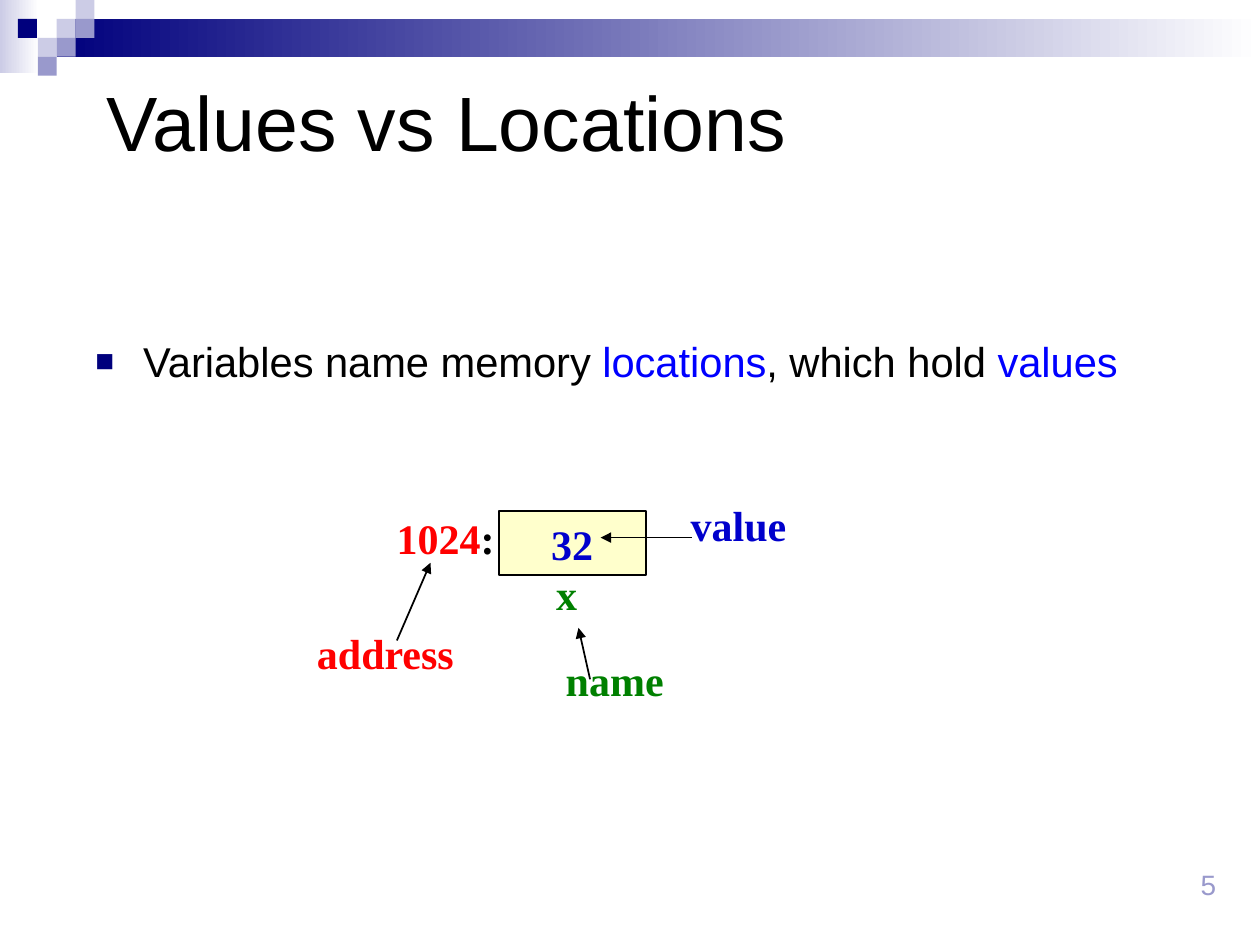
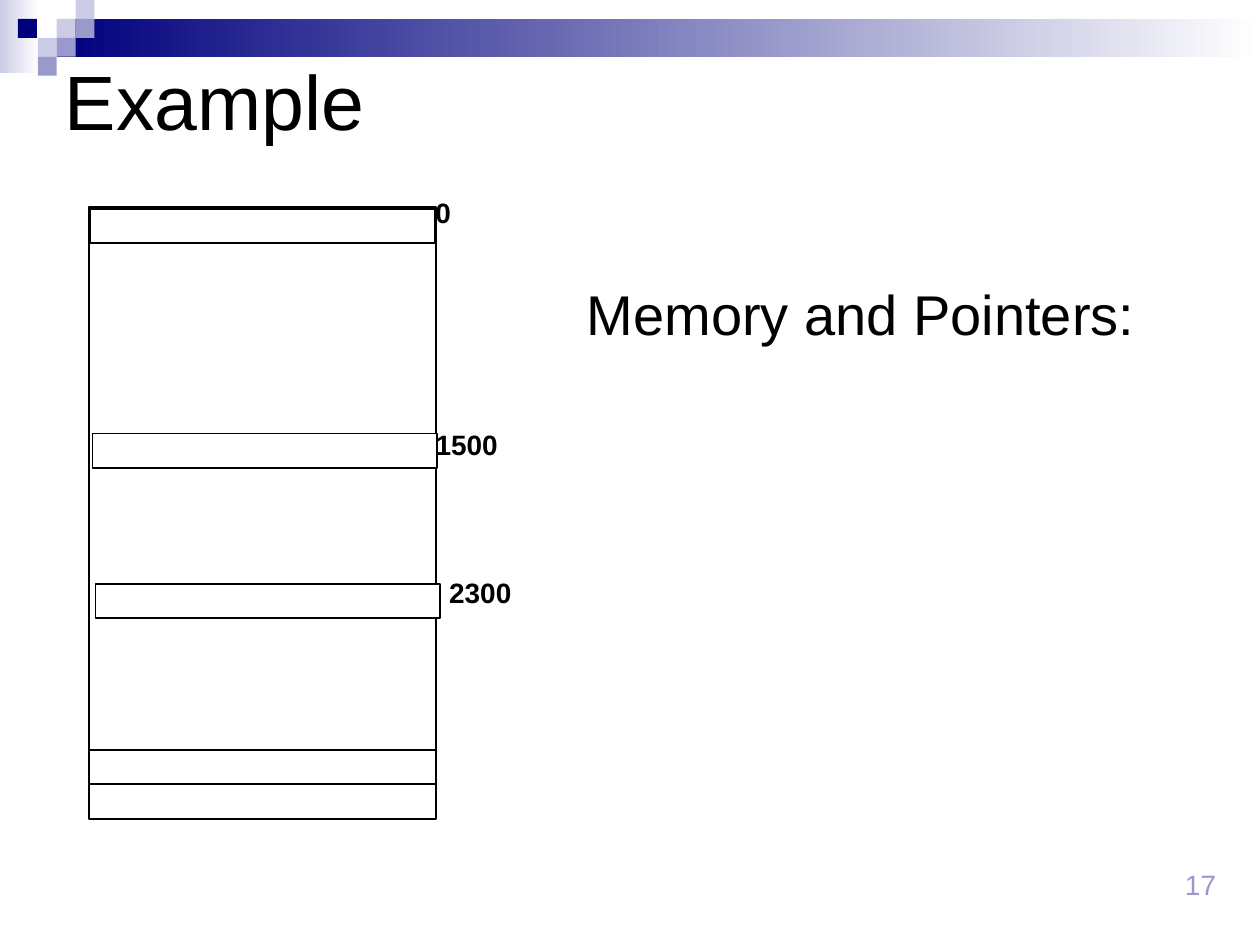
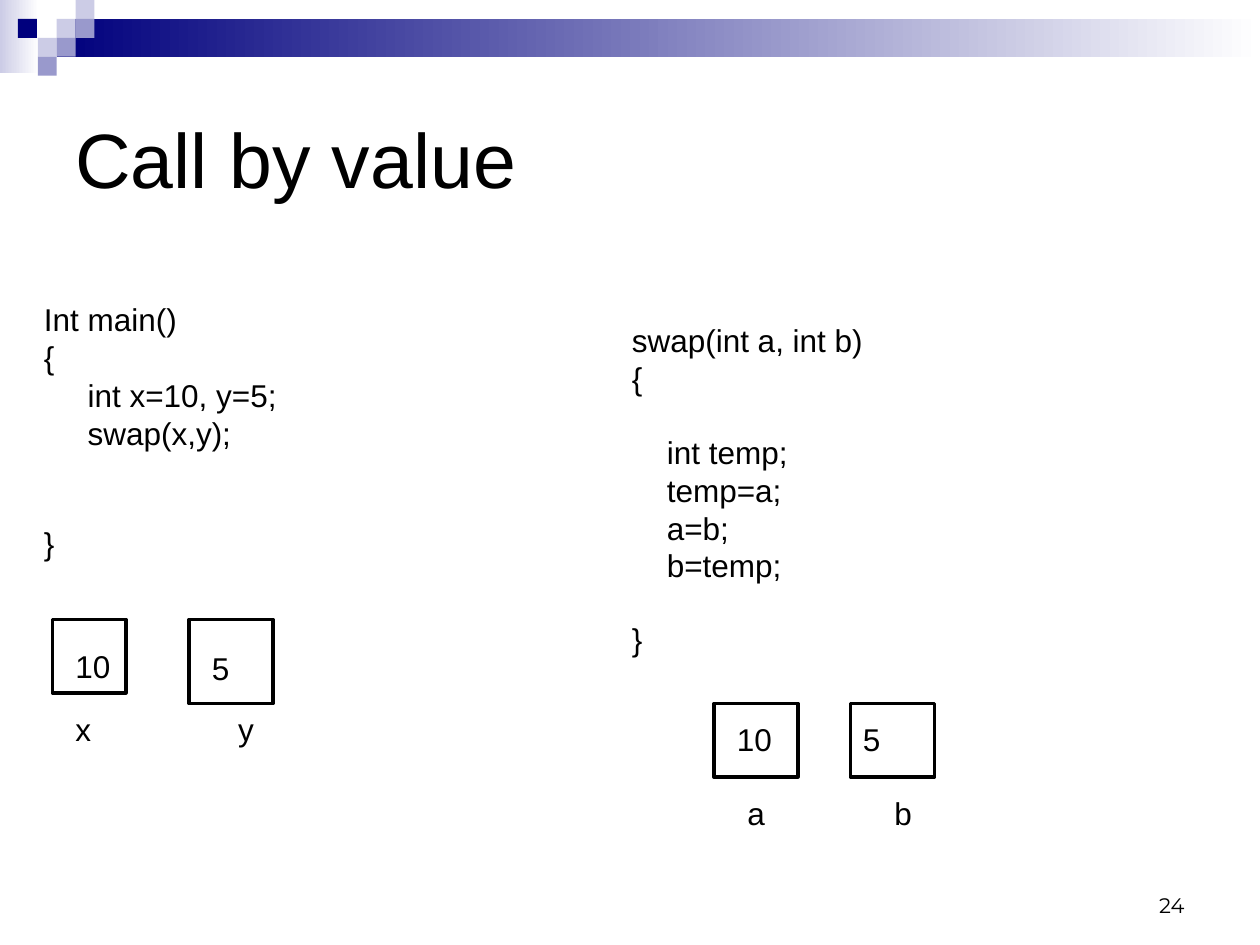
from lxml import etree
from pptx import Presentation
from pptx.dml.color import RGBColor
from pptx.enum.shapes import MSO_CONNECTOR, MSO_SHAPE
from pptx.enum.text import MSO_ANCHOR as Anchor, MSO_AUTO_SIZE as AutoSize, PP_ALIGN as Align
from pptx.oxml.ns import qn
from pptx.util import Inches, Pt

COLORS = {
    "black": "000000", "white": "FFFFFF", "navy": "00007D", "lavender": "CCCCE6",
    "violet": "9999CC", "blue": "0000FF", "cream": "FFFFCC", "value": "0000CC",
    "address": "FF0000", "name": "008000",
}
SANS, SERIF = "Arial", "Times New Roman"
WIDTH, HEIGHT = Inches(10), Inches(7.5)
COLUMNS, ROWS = 120, 90
TILE = 1.8
CODE_LINE = 20.7  # height in points of one 18 pt line


def across(columns):
    return int(WIDTH * columns / COLUMNS)


def down(rows):
    return int(HEIGHT * rows / ROWS)


def place(area):
    """Turn (column, row, columns, rows) into slide lengths."""
    left, top, width, height = area
    return across(left), down(top), across(width), down(height)


def color(name):
    return RGBColor.from_string(COLORS[name])


def add_rect(page, area, fill="white", line=None):
    rect = page.shapes.add_shape(MSO_SHAPE.RECTANGLE, *place(area))
    rect.shadow.inherit = False
    rect.fill.solid()
    rect.fill.fore_color.rgb = color(fill)
    if line:
        rect.line.color.rgb = color("black")
        rect.line.width = Pt(line)
    else:
        rect.line.fill.background()
    return rect


def add_fade(page, area, start):
    """Add a band that fades from the start colour to white."""
    band = add_rect(page, area)
    band.fill.gradient()
    band.fill.gradient_angle = 0
    for stop, name, position in zip(band.fill.gradient_stops, (start, "white"), (0, 1)):
        stop.color.rgb = color(name)
        stop.position = position


def write(para, spans, size, font=SANS, bold=False):
    """Add one run for each (text, colour) pair."""
    for text, name in spans:
        span = para.add_run()
        span.text = text
        span.font.name = font
        span.font.size = Pt(size)
        span.font.bold = bold
        span.font.color.rgb = color(name)


def add_text(page, area, spans, size, font=SANS, bold=False, align=Align.LEFT,
             anchor=Anchor.TOP, wrap=True):
    frame = page.shapes.add_textbox(*place(area)).text_frame
    frame.word_wrap = wrap
    frame.auto_size = AutoSize.NONE if wrap else AutoSize.SHAPE_TO_FIT_TEXT
    frame.vertical_anchor = anchor
    para = frame.paragraphs[0]
    para.alignment = align
    write(para, spans, size, font, bold)
    return para


def add_title(page, area, text):
    add_text(page, area, [(text, "black")], 44, anchor=Anchor.MIDDLE)


def add_number(page, number):
    add_text(page, (110, 82, 7, 6), [(number, "violet")], 16, align=Align.RIGHT)


def add_bullet(para, indent):
    props = para._p.get_or_add_pPr()
    props.set("marL", str(Inches(indent)))
    props.set("indent", str(-Inches(indent)))
    tint = etree.SubElement(props, qn("a:buClr"))
    etree.SubElement(tint, qn("a:srgbClr"), val=COLORS["navy"])
    etree.SubElement(props, qn("a:buSzPct"), val="75000")
    etree.SubElement(props, qn("a:buFont"), typeface=SANS)
    etree.SubElement(props, qn("a:buChar"), char="■")


def add_arrow(page, start, end):
    arrow = page.shapes.add_connector(
        MSO_CONNECTOR.STRAIGHT, across(start[0]), down(start[1]), across(end[0]), down(end[1]))
    arrow.line.color.rgb = color("black")
    arrow.line.width = Pt(1)
    etree.SubElement(arrow.line._get_or_add_ln(), qn("a:tailEnd"), type="triangle")
    etree.SubElement(arrow._element.spPr, qn("a:effectLst"))


def add_code(page, area, lines):
    """Add code from (text, empty lines above) pairs."""
    frame = page.shapes.add_textbox(*place(area)).text_frame
    frame.word_wrap = True
    for index, (text, gap) in enumerate(lines):
        para = frame.add_paragraph() if index else frame.paragraphs[0]
        if gap:
            para.space_before = Pt(gap * CODE_LINE)
        write(para, [(text, "black")], 18)


def add_page(deck):
    page = deck.slides.add_slide(deck.slide_layouts[6])
    add_fade(page, (0, 0, 3.7, 7), "lavender")
    add_fade(page, (3 * TILE, TILE, COLUMNS - 3 * TILE, 2 * TILE), "navy")
    tiles = [(3, 1, "lavender"), (4, 0, "lavender"), (4, 1, "violet"), (2, 2, "lavender"),
             (0.95, 1, "navy"), (3, 2, "violet"), (2, 3, "violet")]
    for column, row, fill in tiles:
        add_rect(page, (column * TILE, row * TILE, TILE, TILE), fill)
    return page


def build_locations(deck):
    page = add_page(deck)
    add_number(page, "5")
    add_title(page, (9, 4, 102, 15), "Values vs Locations")
    statement = add_text(page, (7.9, 31.4, 102.6, 10.1), [
        ("Variables name memory ", "black"), ("locations", "blue"),
        (", which hold ", "black"), ("values", "blue")], 23.8)
    add_bullet(statement, 0.38)

    cell = add_rect(page, (47.5, 48.7, 14, 6.1), "cream", 1).text_frame
    cell.word_wrap = False
    cell.vertical_anchor = Anchor.MIDDLE
    cell.paragraphs[0].alignment = Align.CENTER
    write(cell.paragraphs[0], [("32", "value")], 24, SERIF, True)

    labels = [
        (51.8, 53.6, 4.3, [("x", "name")]),
        (36.6, 48.2, 11.8, [("1024", "address"), (":", "black")]),
        (29, 59.2, 15.5, [("address", "address")]),
        (52.7, 61.7, 11.8, [("name", "name")]),
        (64.6, 47, 11.5, [("value", "value")]),
    ]
    for left, top, width, spans in labels:
        add_text(page, (left, top, width, 6), spans, 24, SERIF, True, wrap=False)
    add_arrow(page, (37.8, 61), (41, 53.6))
    add_arrow(page, (56.2, 64.7), (55.1, 59.8))
    add_arrow(page, (65.9, 51.2), (57.2, 51.2))


def build_memory(deck):
    page = add_page(deck)
    add_number(page, "17")
    add_title(page, (5, 3, 88, 13), "Example")
    add_text(page, (54.7, 26, 59.3, 17.8), [("Memory and Pointers:", "black")], 32)

    add_rect(page, (8.5, 19.7, 33, 58.3), line=1)
    slots = [(8.5, 71.4, 33), (8.8, 41.3, 32.8), (8.6, 19.9, 32.8), (9.1, 55.6, 32.8)]
    for left, top, width in slots:
        add_rect(page, (left, top, width, 3.25), line=1)
    addresses = [(40.3, 18, 3.8, "0"), (40.3, 40.1, 8.3, "1500"), (41.6, 54.2, 8.3, "2300")]
    for left, top, width, text in addresses:
        add_text(page, (left, top, width, 4.4), [(text, "black")], 16, bold=True, wrap=False)


def build_call(deck):
    page = add_page(deck)
    add_title(page, (6, 6, 108, 18), "Call by value")
    add_text(page, (86, 82, 28, 6), [("24", "black")], 12, "Montserrat",
             align=Align.RIGHT, anchor=Anchor.BOTTOM)
    add_code(page, (3, 28, 26, 26.4), [
        ("Int main()", 0), ("{", 0), ("     int x=10, y=5;", 0),
        ("     swap(x,y);", 0), ("}", 2)])
    add_code(page, (59, 30, 54, 33.6), [
        ("swap(int a, int b)", 0), ("{", 0), ("    int temp;", 1), ("    temp=a;", 0),
        ("    a=b;", 0), ("    b=temp;", 0), ("}", 1)])

    for area in [(5, 59, 7, 7), (18, 59, 8, 8), (68, 67, 8, 7), (81, 67, 8, 7)]:
        add_rect(page, area, line=2)
    labels = [(6, 67, "x"), (21.5, 67, "y"), (6, 61, "10"), (19, 61.2, "5"),
              (70, 75, "a"), (84, 75, "b"), (69, 68, "10"), (81, 68, "5")]
    for left, top, text in labels:
        add_text(page, (left, top, 7.5, 4.8), [(text, "black")], 18)


def main():
    deck = Presentation()
    deck.slide_width, deck.slide_height = WIDTH, HEIGHT
    for build in (build_locations, build_memory, build_call):
        build(deck)
    deck.save("out.pptx")


if __name__ == "__main__":
    main()
